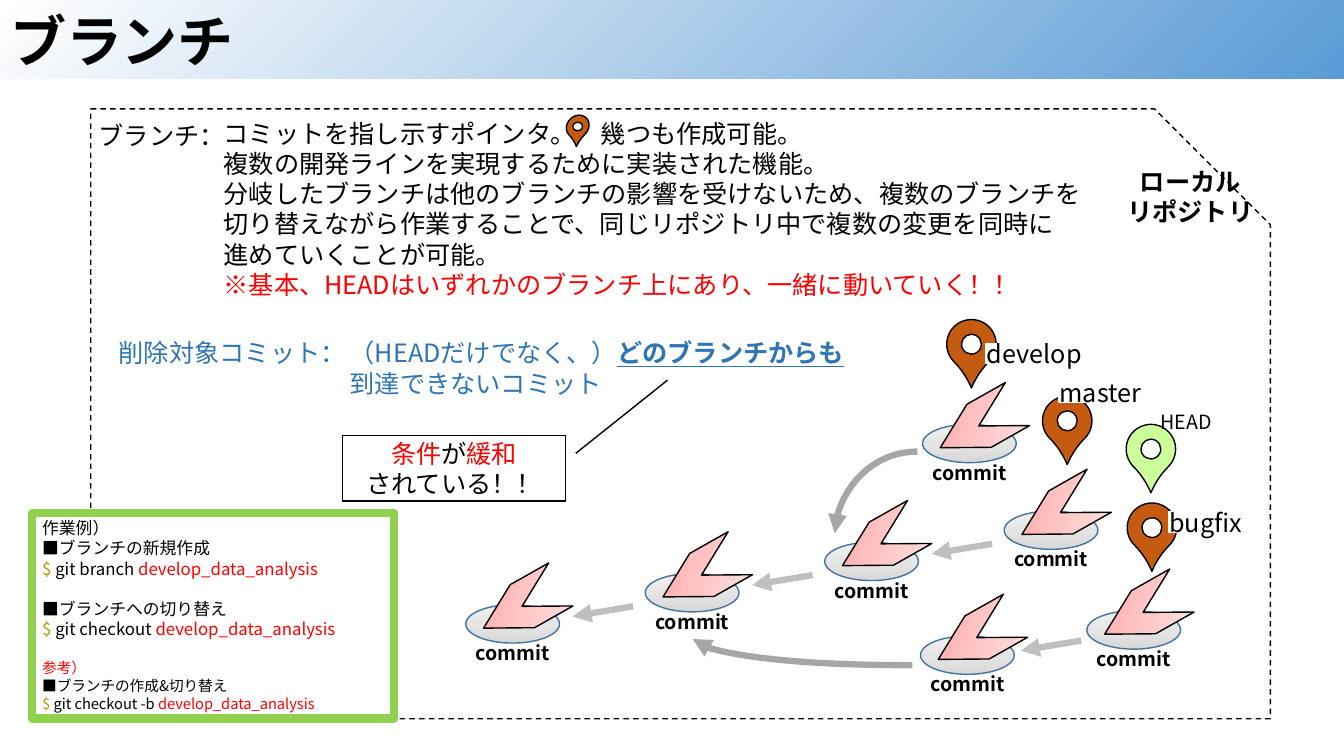
from copy import deepcopy
from dataclasses import dataclass

from lxml.etree import SubElement
from pptx import Presentation
from pptx.dml.color import RGBColor
from pptx.enum.dml import MSO_LINE
from pptx.enum.shapes import MSO_CONNECTOR, MSO_SHAPE
from pptx.enum.text import MSO_ANCHOR, MSO_AUTO_SIZE, PP_ALIGN
from pptx.oxml.ns import qn
from pptx.util import Inches, Pt


@dataclass(frozen=True)
class Theme:
    """Colours, font and type sizes of the slide."""
    font: str = "Noto Sans CJK JP"
    title: float = 40
    body: float = 18
    label: float = 14
    code: float = 12
    small: float = 10.5
    black: str = "000000"
    white: str = "FFFFFF"
    red: str = "FF0000"
    blue: str = "2E75B6"
    gold: str = "BF9000"
    green: str = "92D050"
    branch: str = "C55A11"
    head: str = "CCFF99"
    disc_line: str = "43739E"
    arrow: str = "BFBFBF"
    curve: str = "A6A6A6"
    banner: tuple = ("5B9BD5", "FFFFFF")
    disc: tuple = ("D8D8D8", "E5E5E5", "F2F2F2")
    flag: tuple = ("FFA0A0", "FFC5C5", "FFE3E3")


@dataclass
class Line:
    """One paragraph: runs of (text, colour, style), size and space before."""
    runs: list
    size: float
    gap: float = 0


THEME = Theme()


def plain(text, size=THEME.body, color=THEME.black, style="", gap=0):
    """Return a paragraph that holds a single run."""
    return Line([(text, color, style)], size, gap)


def write(shape, lines, align=PP_ALIGN.LEFT, anchor=MSO_ANCHOR.TOP):
    """Fill a shape with formatted paragraphs."""
    frame = shape.text_frame
    frame.word_wrap = True
    frame.auto_size = MSO_AUTO_SIZE.NONE
    frame.vertical_anchor = anchor
    for index, line in enumerate(lines):
        paragraph = frame.add_paragraph() if index else frame.paragraphs[0]
        paragraph.alignment = align
        paragraph.line_spacing = Pt(line.size * 1.2)
        paragraph.space_before = Pt(line.gap)
        for text, color, style in line.runs:
            run = paragraph.add_run()
            run.text = text
            run.font.size = Pt(line.size)
            run.font.bold = "b" in style
            run.font.underline = "u" in style
            run.font.color.rgb = RGBColor.from_string(color)
            run.font.name = THEME.font
            SubElement(run.font._element, qn("a:ea"), typeface=THEME.font)


def add_text(slide, box, lines, **layout):
    """Add a text box."""
    write(slide.shapes.add_textbox(*map(Inches, box)), lines, **layout)


def paint_gradient(shape, colors, angle):
    """Fill a shape with evenly spaced gradient stops."""
    shape.fill.gradient()
    shape.fill.gradient_angle = angle
    stops = shape.fill._fill._gradFill.gsLst
    while len(stops) < len(colors):
        stops.append(deepcopy(stops[0]))
    for index, (stop, color) in enumerate(zip(shape.fill.gradient_stops, colors)):
        stop.position = index / (len(colors) - 1)
        stop.color.rgb = RGBColor.from_string(color)


def add_shape(slide, kind, box, fill=None, line=THEME.black, width=1, adjust=(), turn=0, flip=False):
    """Add a preset shape with a flat fill and outline."""
    shape = slide.shapes.add_shape(kind, *map(Inches, box))
    shape.shadow.inherit = False
    if fill:
        shape.fill.solid()
        shape.fill.fore_color.rgb = RGBColor.from_string(fill)
    else:
        shape.fill.background()
    shape.line.color.rgb = RGBColor.from_string(line)
    shape.line.width = Pt(width)
    for index, value in enumerate(adjust):
        shape.adjustments[index] = value
    shape.rotation = turn
    if flip:
        shape._element.spPr.xfrm.set("flipH", "1")
    return shape


def add_arrow(slide, start, end, color, curved=False):
    """Add a thick arrow, straight or bent through a quarter curve."""
    kind = MSO_CONNECTOR.CURVE if curved else MSO_CONNECTOR.STRAIGHT
    arrow = slide.shapes.add_connector(kind, *map(Inches, start + end))
    arrow.line.color.rgb = RGBColor.from_string(color)
    arrow.line.width = Pt(4.5)
    properties = arrow._element.spPr
    if curved:
        properties.find(qn("a:prstGeom")).set("prst", "curvedConnector2")
    SubElement(arrow.line._ln, qn("a:tailEnd"), type="triangle")
    SubElement(properties, qn("a:effectLst"))


def add_pin(slide, box, color):
    """Draw a map pin with a round hole."""
    left, top, width, height = box
    add_shape(slide, MSO_SHAPE.TEAR, box, color, adjust=[1.251], turn=135)
    add_shape(slide, MSO_SHAPE.OVAL,
              (left + width * 0.3, top + height * 0.3, width * 0.4, height * 0.4), THEME.white)


def add_commit(slide, left, top):
    """Draw a commit: a disc, a flag and a caption."""
    disc = add_shape(slide, MSO_SHAPE.OVAL, (left, top, 0.93, 0.38), line=THEME.disc_line)
    paint_gradient(disc, THEME.disc, 90)
    flag = add_shape(slide, MSO_SHAPE.CHEVRON, (left + 0.12, top - 0.23, 0.88, 0.49),
                     adjust=[0.902], turn=330.5, flip=True)
    paint_gradient(flag, THEME.flag, 225)
    add_text(slide, (left - 0.13, top + 0.31, 1.19, 0.34),
             [plain("commit", THEME.label, style="b")], align=PP_ALIGN.CENTER)


def add_title(slide, box):
    """Format the title placeholder as the banner."""
    title = slide.shapes.title
    title.left, title.top, title.width, title.height = map(Inches, box)
    paint_gradient(title, THEME.banner, 135)
    write(title, [plain("ブランチ", THEME.title, style="b")], anchor=MSO_ANCHOR.BOTTOM)


def add_repository(slide, box):
    """Draw the dashed repository frame and its name."""
    left, top, width, height = box
    frame = add_shape(slide, MSO_SHAPE.SNIP_1_RECTANGLE, box, adjust=[0.19])
    frame.line.dash_style = MSO_LINE.DASH
    add_text(slide, (left + width - 1.6, top + 0.52, 1.61, 0.71),
             [plain(text, style="b") for text in ("ローカル", "リポジトリ")], align=PP_ALIGN.CENTER)


def add_definition(slide, box):
    """Explain what a branch is."""
    left, top, width, height = box
    texts = ["コミットを指し示すポインタ。　幾つも作成可能。",
             "複数の開発ラインを実現するために実装された機能。",
             "分岐したブランチは他のブランチの影響を受けないため、複数のブランチを",
             "切り替えながら作業することで、同じリポジトリ中で複数の変更を同時に",
             "進めていくことが可能。"]
    note = plain("※基本、HEADはいずれかのブランチ上にあり、一緒に動いていく！！", color=THEME.red)
    add_text(slide, (left, top + 0.02, 1.61, 0.4), [plain("ブランチ：")], anchor=MSO_ANCHOR.MIDDLE)
    add_text(slide, (left + 1.24, top, width - 1.24, height), [plain(text) for text in texts] + [note])
    add_pin(slide, (left + 4.73, top + 0.03, 0.24, 0.21), THEME.branch)


def add_example(slide, box):
    """List the example commands in a green box."""
    def command(text, size):
        return Line([("$", THEME.gold, ""), (text, THEME.black, ""),
                     ("develop_data_analysis", THEME.red, "")], size)

    panel = add_shape(slide, MSO_SHAPE.RECTANGLE, box, THEME.white, THEME.green, 6)
    write(panel, [
        plain("作業例）", THEME.code),
        plain("■ブランチの新規作成", THEME.code),
        command(" git branch ", THEME.code),
        plain("■ブランチへの切り替え", THEME.code, gap=14.4),
        command(" git checkout ", THEME.code),
        plain("参考）", THEME.small, THEME.red, gap=14.4),
        plain("■ブランチの作成&切り替え", THEME.small),
        command(" git checkout -b ", THEME.small)])


def add_history(slide, box):
    """Draw the commit graph with its branch pins."""
    left, top, width, height = box

    def at(x, y):
        return left + x, top + y

    main = [at(0.12 + 1.78 * index, 3 - 0.31 * index) for index in range(4)]
    bugfix = [at(4.63, 3.31), at(6.28, 3.06)]
    for commit in [at(4.65, 1.21), *main, *bugfix]:
        add_commit(slide, *commit)
    for parent, child in [*zip(main, main[1:]), bugfix]:
        x = (parent[0] + child[0]) / 2 + 0.47
        y = (parent[1] + child[1]) / 2 + 0.22
        add_arrow(slide, (x + 0.3, y - 0.05), (x - 0.3, y + 0.05), THEME.arrow)
    add_arrow(slide, at(4.6, 1.48), at(3.78, 2.29), THEME.curve, curved=True)
    add_arrow(slide, at(4.55, 3.6), at(2.37, 3.34), THEME.curve, curved=True)

    add_pin(slide, (*at(6.67, 1.21), 0.49, 0.49), THEME.head)
    add_text(slide, (*at(6.81, 1.02), 0.91, 0.34), [plain("HEAD", THEME.label)], align=PP_ALIGN.CENTER)
    branches = [("develop", at(4.89, 0.17), at(5.19, 0.31)),
                ("master", at(5.84, 0.93), at(5.91, 0.69)),
                ("bugfix", at(6.68, 1.99), at(7, 1.98))]
    for name, pin, (x, y) in branches:
        add_pin(slide, (*pin, 0.49, 0.49), THEME.branch)
        add_shape(slide, MSO_SHAPE.RECTANGLE, (x + 0.09, y + 0.1, 0.92, 0.2), THEME.white, THEME.white)
        add_text(slide, (x, y, 1.18, 0.4), [plain(name)])


def add_removal(slide, box):
    """State which commits are removed, with a callout."""
    left, top, width, height = box
    add_text(slide, (left, top, 2.6, 0.4), [plain("削除対象コミット：", color=THEME.blue)])
    rule = Line([("（HEADだけでなく、）", THEME.blue, ""), ("どのブランチからも", THEME.blue, "bu")], THEME.body)
    add_text(slide, (left + 2.29, top, width - 2.29, 0.71),
             [rule, plain("到達できないコミット", color=THEME.blue)])
    callout = add_shape(slide, MSO_SHAPE.LINE_CALLOUT_1, (left + 2.32, top + 1.02, 2.21, 0.65),
                        adjust=[0.272, -0.046, -0.845, -0.458], flip=True)
    relaxed = Line([("条件", THEME.red, ""), ("が", THEME.black, ""), ("緩和", THEME.red, "")], THEME.body)
    write(callout, [relaxed, plain("されている！！")], PP_ALIGN.CENTER, MSO_ANCHOR.MIDDLE)


def main():
    """Build the slide and save it."""
    presentation = Presentation()
    presentation.slide_width, presentation.slide_height = Inches(13.33), Inches(7.5)
    slide = presentation.slides.add_slide(presentation.slide_layouts[5])
    add_title(slide, (0, 0.01, 13.33, 0.77))
    add_repository(slide, (0.9, 1.08, 11.7, 6.05))
    add_definition(slide, (0.88, 1.12, 10.11, 1.92))
    add_example(slide, (0.32, 5.09, 3.59, 2.04))
    add_history(slide, (4.5, 3, 8.1, 4))
    add_removal(slide, (1.08, 3.3, 7.69, 1.67))
    presentation.save("out.pptx")


if __name__ == "__main__":
    main()
